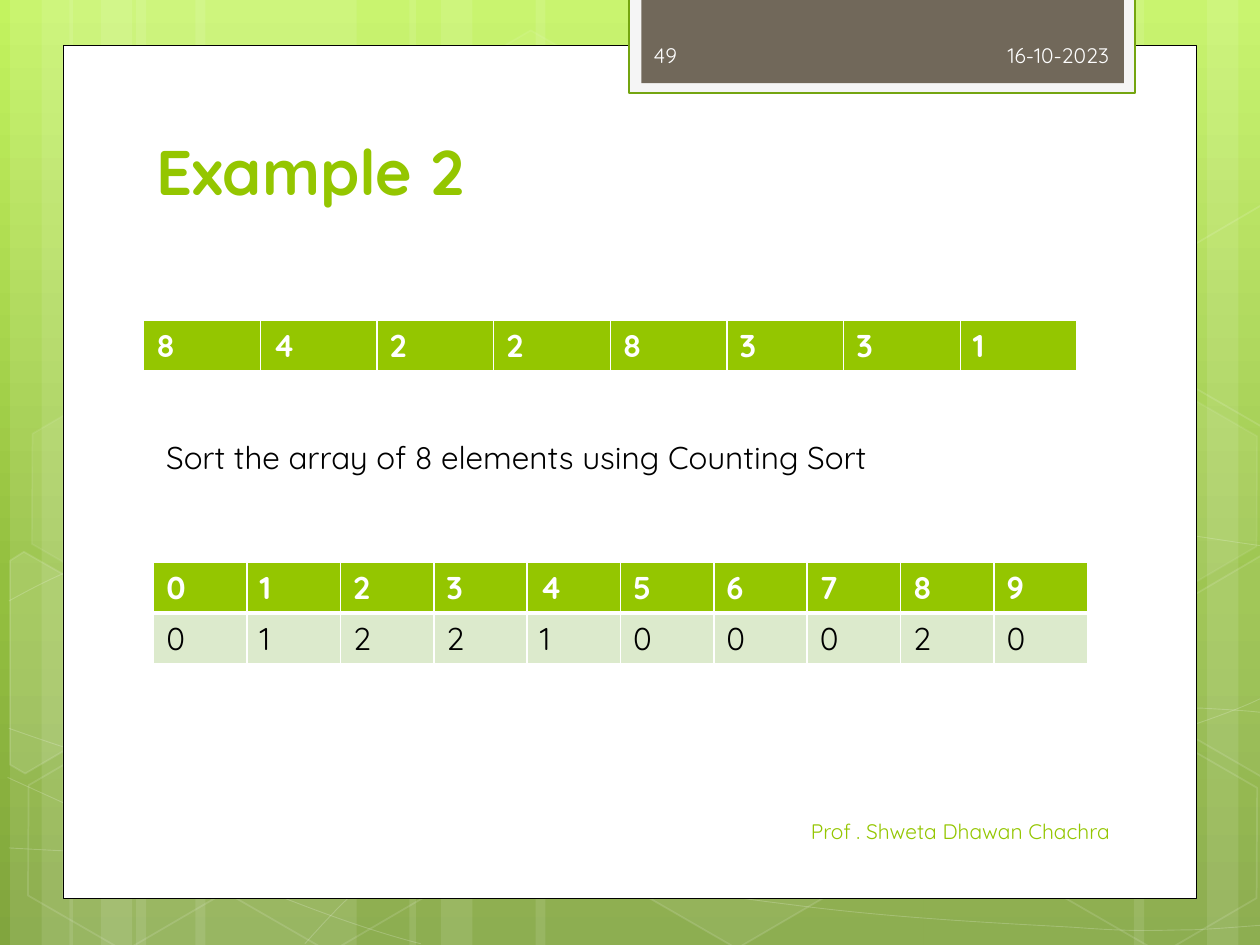
from copy import deepcopy

from lxml.etree import SubElement
from pptx import Presentation
from pptx.dml.color import RGBColor
from pptx.enum.shapes import MSO_SHAPE
from pptx.enum.text import MSO_ANCHOR, PP_ALIGN
from pptx.oxml import parse_xml
from pptx.oxml.ns import nsdecls, qn
from pptx.util import Inches, Pt

FONT = "Quicksand"
COLORS = {
    "sky": "C3F35F", "leaf": "93BF3F", "moss": "81A53E",
    "white": "FFFFFF", "black": "000000", "lime": "94C600",
    "pale": "DCEACC", "tab_edge": "74A510", "tab_rim": "F5F5F5",
    "tab": "71685A", "tab_text": "FEFEFE",
}
STRIPES = [
    (1.08, 1.75), (0.08, 0.5), (0.33, 0.83), (1.55, 1.75), (0.55, 0.5),
    (0.8, 0.83), (7.33, 1.75), (9.58, 0.5), (9, 0.83), (4.25, 3.08),
    (3.25, 0.5), (3.5, 0.83),
]
CURVES = [
    [(0.07, 6.73), (0.61, 6.76), (1.15, 6.79), (1.9, 6.78), (2.65, 6.77),
     (3.58, 6.75), (4.58, 6.65), (5.58, 6.55), (7, 6.36), (7.92, 6.17),
     (8.83, 5.98), (9.77, 5.68), (10.07, 5.51)],
    [(0.07, 4.77), (0.36, 4.61), (0.65, 4.46), (1.21, 4.31), (1.78, 4.16),
     (2.59, 3.94), (3.47, 3.87), (4.36, 3.8), (5.44, 3.79), (6.54, 3.87),
     (7.64, 3.95), (9.47, 4.26), (10.07, 4.34)],
    [(0.06, 6.17), (1.27, 6.72), (2.47, 7.27), (3.34, 7.49)],
    [(0.07, 5.78), (0.38, 5.89), (0.7, 6), (1.28, 6.16), (1.86, 6.31),
     (2.73, 6.56), (3.57, 6.73), (4.4, 6.9), (5.45, 7.08), (6.28, 7.18),
     (7.11, 7.29), (8, 7.33), (8.53, 7.36), (9.05, 7.4), (9.19, 7.38),
     (9.45, 7.38), (9.71, 7.37), (9.89, 7.35), (10.07, 7.34)],
    [(2.42, 7.49), (2.6, 7.29), (2.78, 7.09), (3.02, 6.91), (3.26, 6.73),
     (3.6, 6.53), (3.88, 6.39), (4.16, 6.25), (4.33, 6.19), (4.7, 6.09),
     (5.06, 5.99), (5.73, 5.85), (6.08, 5.78), (6.44, 5.71), (6.49, 5.71),
     (6.8, 5.69), (7.11, 5.66), (7.6, 5.63), (7.94, 5.62), (8.29, 5.61),
     (8.86, 5.62), (8.86, 5.62), (9.08, 5.62), (9.31, 5.62), (9.53, 5.62),
     (9.71, 5.63), (9.88, 5.64), (9.97, 5.65), (10.06, 5.66), (10.03, 5.65),
     (10.06, 5.66)],
]
HEXAGONS = [
    (3.34, 0.36, 4, 8), (4.97, 5.89, 6, 12), (0.11, 5.91, 0, 12),
    (0.14, 3.12, 7, 8), (1.74, 5.92, 0, 12), (8.34, 5.93, 0, 12),
    (8.34, 3.14, 7, 8),
]
CUT_HEXAGONS = [
    ([(0.08, 4.45), (0.19, 4.38), (0.96, 4.82), (0.95, 5.7), (0.2, 6.14),
      (0.08, 6.07)], 10),
    ([(9.26, 4.85), (10.01, 4.41), (10.09, 4.46), (10.09, 6.13),
      (10.02, 6.17), (9.26, 5.73)], 4),
    ([(9.26, 2.07), (10.01, 1.63), (10.1, 1.68), (10.09, 3.35),
      (10.02, 3.39), (9.26, 2.95)], 0),
]


def rgb(name):
    return RGBColor.from_string(COLORS[name])


def paint(fill, name, opacity=100):
    if not opacity:
        fill.background()
        return
    fill.solid()
    fill.fore_color.rgb = rgb(name)


def style(shape, fill="white", opacity=100, line="white", width=0, line_opacity=100):
    shape.shadow.inherit = False
    paint(shape.fill, fill, opacity)
    paint(shape.line.fill, line, width)
    if width:
        shape.line.width = Pt(width)
    properties = shape._element.spPr
    for parent, share in ((properties, opacity), (properties.find(qn("a:ln")), line_opacity)):
        solid = parent.find(qn("a:solidFill"))
        if solid is not None and share < 100:
            SubElement(solid[0], qn("a:alpha")).set("val", str(share * 1000))


def add_rectangle(page, box, **look):
    shape = page.shapes.add_shape(MSO_SHAPE.RECTANGLE, *map(Inches, box))
    style(shape, **look)


def add_outline(page, points, close, **look):
    corners = [(Inches(x), Inches(y)) for x, y in points]
    builder = page.shapes.build_freeform(*corners[0])
    builder.add_line_segments(corners[1:], close=close)
    shape = builder.convert_to_shape()
    style(shape, **look)
    return shape


def bend(shape):
    outline = shape._element.find(".//" + qn("a:path"))
    lines = outline.findall(qn("a:lnTo"))
    for first in range(0, len(lines), 3):
        curve = SubElement(outline, qn("a:cubicBezTo"))
        for line in lines[first:first + 3]:
            curve.append(line[0])
            outline.remove(line)


def write(para, text, size, color, bold=False):
    span = para.add_run()
    span.text = text
    span.font.name = FONT
    span.font.size = Pt(size)
    span.font.bold = bold
    span.font.color.rgb = rgb(color)


def add_text(page, box, text, size, color, align=PP_ALIGN.LEFT, anchor=MSO_ANCHOR.MIDDLE):
    frame = page.shapes.add_textbox(*map(Inches, box)).text_frame
    frame.word_wrap = True
    frame.vertical_anchor = anchor
    frame.paragraphs[0].alignment = align
    write(frame.paragraphs[0], text, size, color)


def add_backdrop(page, height):
    fill = page.background.fill
    fill.gradient()
    fill.gradient_angle = 270
    stops = page._element.find(".//" + qn("a:gsLst"))
    stops.append(deepcopy(stops[-1]))
    for stop, position, name in zip(fill.gradient_stops, (0, 0.62, 1), ("sky", "leaf", "moss")):
        stop.position = position
        stop.color.rgb = rgb(name)
    for left, width in STRIPES:
        add_rectangle(page, (left, 0, width, height), opacity=10)
    for controls in CURVES:
        bend(add_outline(page, controls, False, opacity=0, width=0.5, line_opacity=20))
    for left, top, opacity, line_opacity in HEXAGONS:
        box = map(Inches, (left, top, 1.75, 1.52))
        hexagon = page.shapes.add_shape(MSO_SHAPE.HEXAGON, *box)
        hexagon.adjustments[0] = 0.285
        hexagon.rotation = 30
        style(hexagon, opacity=opacity, width=1, line_opacity=line_opacity)
    for points, opacity in CUT_HEXAGONS:
        add_outline(page, points, True, opacity=opacity, width=1, line_opacity=12)


def add_header_tab(page, box):
    left, top, width, height = box
    add_rectangle(page, box, fill="tab_rim", line="tab_edge", width=1.25)
    add_rectangle(page, (left + 0.1, top, width - 0.19, height - 0.08), fill="tab")
    text_top = top + 0.26
    add_text(page, (left + 0.1, text_top, 1.46, 0.4), "49", 12, "tab_text")
    add_text(page, (left + 1.58, text_top, 2.33, 0.4), "16-10-2023", 12, "tab_text",
             PP_ALIGN.RIGHT)


def add_title(page, box, text):
    title = page.shapes.title
    title.left, title.top, title.width, title.height = map(Inches, box)
    page.shapes._spTree.append(title._element)
    frame = title.text_frame
    frame.word_wrap = True
    frame.vertical_anchor = MSO_ANCHOR.BOTTOM
    frame.paragraphs[0].alignment = PP_ALIGN.LEFT
    write(frame.paragraphs[0], text, 36, "lime", True)


def set_borders(cell, top, bottom):
    properties = cell._tc.get_or_add_tcPr()
    for place, (side, width) in enumerate(zip("LRTB", (1, 1, top, bottom))):
        properties.insert(place, parse_xml(
            f'<a:ln{side} {nsdecls("a")} w="{Pt(width)}"><a:solidFill>'
            f'<a:srgbClr val="{COLORS["white"]}"/></a:solidFill></a:ln{side}>'))


def add_array(page, box, rows):
    grid = page.shapes.add_table(len(rows), len(rows[0]), *map(Inches, box)).table
    grid.first_row = True
    grid.horz_banding = False
    for r, values in enumerate(rows):
        header = r == 0
        for c, value in enumerate(values):
            cell = grid.cell(r, c)
            paint(cell.fill, "lime" if header else "pale")
            set_borders(cell, 1 if header else 3, 3 if header else 1)
            write(cell.text_frame.paragraphs[0], str(value), 18,
                  "white" if header else "black", header)


def main():
    deck = Presentation()
    deck.slide_width, deck.slide_height = Inches(10), Inches(7.5)
    page = deck.slides.add_slide(deck.slide_layouts[5])
    add_backdrop(page, 7.5)
    add_rectangle(page, (0.5, 0.36, 9, 6.77), line="black", width=0.5)
    add_header_tab(page, (4.99, -0.02, 4.02, 0.76))
    add_title(page, (1.14, 1.12, 7.68, 0.58), "Example 2")
    add_array(page, (1.14, 2.54, 7.41, 0.41), [[8, 4, 2, 2, 8, 3, 3, 1]])
    add_text(page, (1.22, 3.43, 7.24, 0.4),
             "Sort the array of 8 elements using Counting Sort", 18, "black",
             anchor=MSO_ANCHOR.TOP)
    add_array(page, (1.22, 4.46, 7.41, 0.81),
              [range(10), [0, 1, 2, 2, 1, 0, 0, 0, 2, 0]])
    add_text(page, (5.08, 6.4, 3.83, 0.4), "Prof . Shweta Dhawan Chachra", 12, "lime",
             PP_ALIGN.RIGHT)
    deck.save("out.pptx")


if __name__ == "__main__":
    main()
